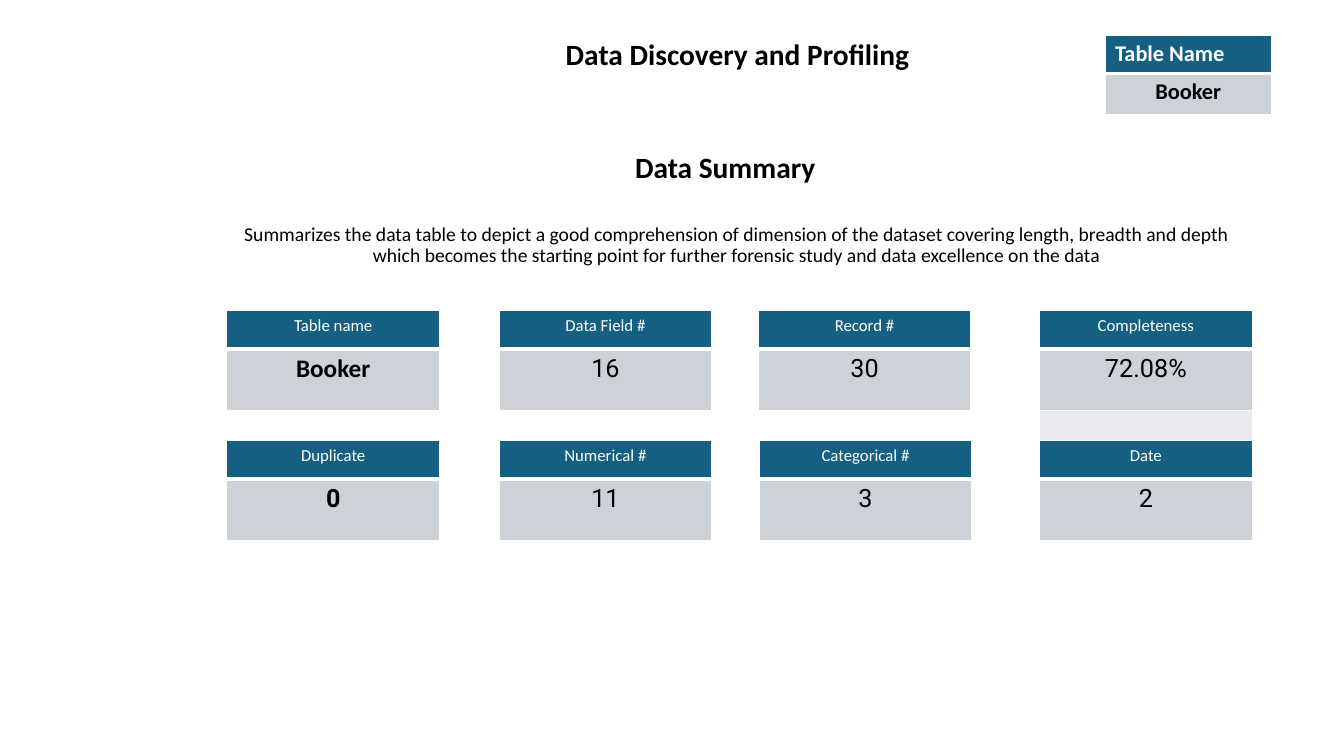
"""Build the data discovery and profiling slide."""
import dataclasses
import typing

import pptx
import pptx.dml.color
import pptx.enum.text
import pptx.oxml
import pptx.oxml.ns
import pptx.util

EMU_PER_PX = 9144
COLOURS = {
    "header": "156082",
    "value": "CCD2D8",
    "spare": "E8EAED",
    "white": "FFFFFF",
    "black": "000000",
}
LEFT = pptx.enum.text.PP_ALIGN.LEFT
CENTER = pptx.enum.text.PP_ALIGN.CENTER
TOP = pptx.enum.text.MSO_ANCHOR.TOP
BOTTOM = pptx.enum.text.MSO_ANCHOR.BOTTOM


@dataclasses.dataclass(frozen=True)
class Card:
    label: str
    value: str
    left: int
    top: int
    width: int = 211
    value_height: int = 61
    spare_height: int = 0
    label_size: int = 12
    label_bold: bool = False
    label_align: typing.Any = CENTER
    value_size: int = 18
    value_font: str = "Roboto"
    value_bold: bool = False


HEADER_HEIGHT = 38
UPPER, LOWER = 308, 437
CARDS = [
    Card("Table Name", "Booker", 1096, 35, width=165, value_height=41,
         label_size=16, label_bold=True, label_align=LEFT,
         value_size=16, value_font="Calibri", value_bold=True),
    Card("Table name", "Booker", 225, UPPER, value_font="Calibri", value_bold=True),
    Card("Data Field #", "16", 495, UPPER),
    Card("Record #", "30", 752, UPPER),
    Card("Completeness", "72.08%", 1031, UPPER, spare_height=61),
    Card("Duplicate", "0", 225, LOWER, value_bold=True),
    Card("Numerical #", "11", 495, LOWER),
    Card("Categorical #", "3", 753, LOWER),
    Card("Date", "2", 1031, LOWER),
]
SUMMARY = (
    "Summarizes the data table to depict a good comprehension of dimension of the "
    "dataset covering length, breadth and depth which becomes the starting point for "
    "further forensic study and data excellence on the data"
)


def px(length: int) -> pptx.util.Emu:
    return pptx.util.Emu(length * EMU_PER_PX)


def rgb(name: str) -> pptx.dml.color.RGBColor:
    return pptx.dml.color.RGBColor.from_string(COLOURS[name])


def write(frame, text: str, *, size: int, font: str = "Calibri", colour: str = "black",
          bold: bool = False, align=CENTER, line_spacing: float = 1.0,
          space_before: int = 0) -> None:
    para = frame.paragraphs[0]
    para.alignment = align
    para.line_spacing = line_spacing
    para.space_before = pptx.util.Pt(space_before)
    span = para.add_run()
    span.text = text
    span.font.size = pptx.util.Pt(size)
    span.font.name = font
    span.font.bold = bold
    span.font.color.rgb = rgb(colour)


def place(box, left: int, top: int, width: int, height: int, anchor) -> None:
    box.left, box.top, box.width, box.height = map(px, (left, top, width, height))
    frame = box.text_frame
    frame.word_wrap = True
    frame.auto_size = pptx.enum.text.MSO_AUTO_SIZE.NONE
    frame.vertical_anchor = anchor


def style_cell(cell, fill: str, *, top_line: int = 1, bottom_line: int = 1) -> None:
    cell.fill.solid()
    cell.fill.fore_color.rgb = rgb(fill)
    properties = cell._tc.get_or_add_tcPr()
    lines = {"lnL": 1, "lnR": 1, "lnT": top_line, "lnB": bottom_line}
    for index, (side, points) in enumerate(lines.items()):
        properties.insert(index, pptx.oxml.parse_xml(
            f'<a:{side} {pptx.oxml.ns.nsdecls("a")} w="{pptx.util.Pt(points)}">'
            f'<a:solidFill><a:srgbClr val="{COLOURS["white"]}"/></a:solidFill></a:{side}>'
        ))


def draw_card(page, card: Card) -> None:
    heights = [HEADER_HEIGHT, card.value_height]
    if card.spare_height:
        heights.append(card.spare_height)
    table = page.shapes.add_table(
        len(heights), 1, px(card.left), px(card.top), px(card.width), px(sum(heights))
    ).table
    table.first_row = False
    table.horz_banding = False
    for row, height in zip(table.rows, heights):
        row.height = px(height)
    label, value = table.cell(0, 0), table.cell(1, 0)
    style_cell(label, "header", bottom_line=3)
    style_cell(value, "value", top_line=3)
    write(label.text_frame, card.label, size=card.label_size, colour="white",
          bold=card.label_bold, align=card.label_align)
    write(value.text_frame, card.value, size=card.value_size, font=card.value_font,
          bold=card.value_bold)
    if card.spare_height:
        style_cell(table.cell(2, 0), "spare")


def main() -> None:
    deck = pptx.Presentation()
    deck.slide_width, deck.slide_height = px(1333), px(750)
    page = deck.slides.add_slide(deck.slide_layouts[0])

    title, summary = page.placeholders
    place(title, 297, 1, 869, 75, BOTTOM)
    write(title.text_frame, "Data Discovery and Profiling", size=21, bold=True,
          line_spacing=0.9)
    place(summary, 231, 218, 1000, 181, TOP)
    write(summary.text_frame, SUMMARY, size=14, line_spacing=0.9, space_before=10)

    heading = page.shapes.add_textbox(0, 0, 0, 0)
    place(heading, 620, 143, 300, 45, TOP)
    write(heading.text_frame, "Data Summary", size=21, bold=True, align=LEFT)

    for card in CARDS:
        draw_card(page, card)
    deck.save("out.pptx")


if __name__ == "__main__":
    main()
